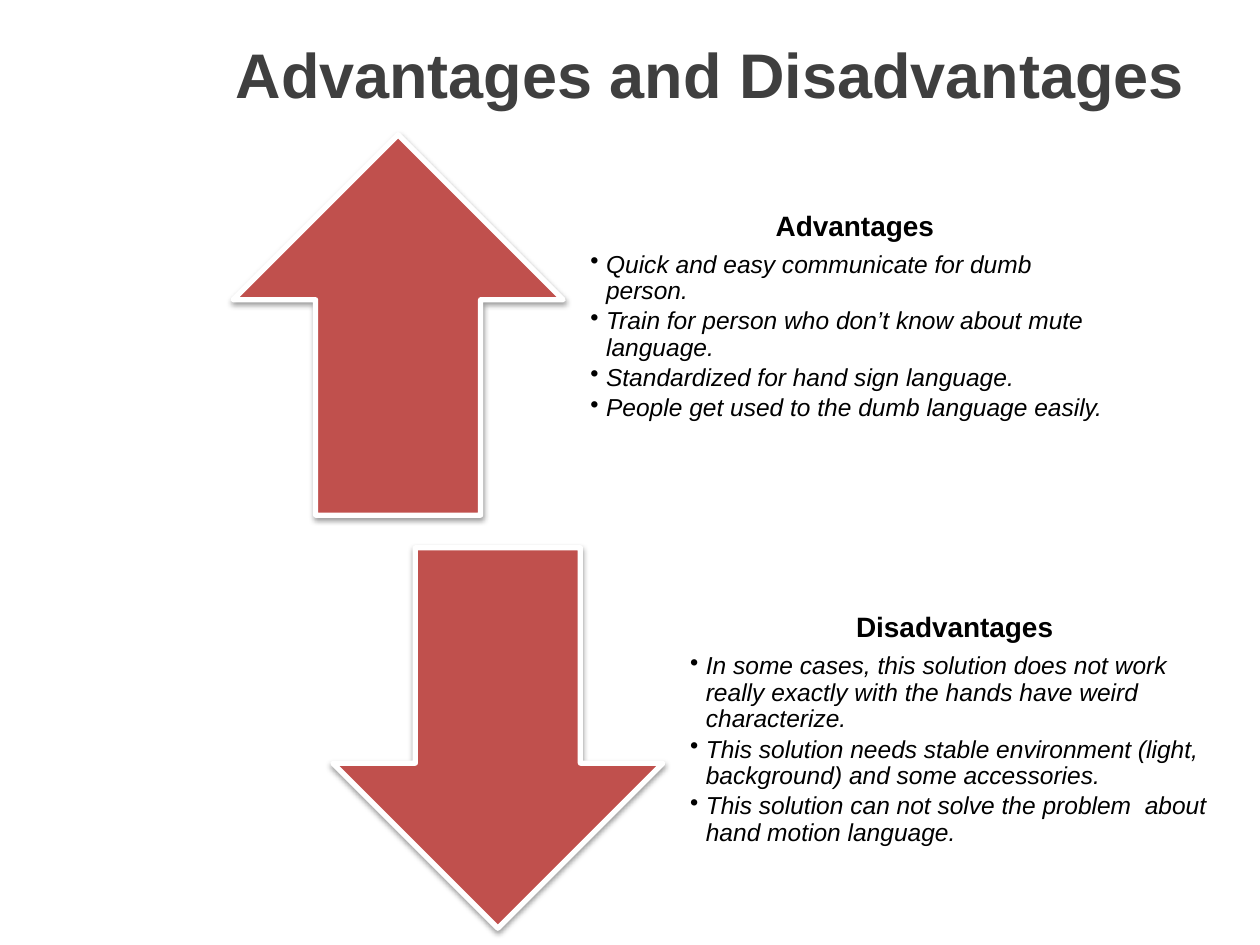
from lxml import etree
from pptx import Presentation
from pptx.dml.color import RGBColor
from pptx.enum import shapes, text
from pptx.oxml import parse_xml
from pptx.oxml.ns import nsdecls, qn
from pptx.util import Pt

RED = RGBColor(0xC0, 0x50, 0x4D)
WHITE = RGBColor(0xFF, 0xFF, 0xFF)
BLACK = RGBColor(0, 0, 0)
GRAY = RGBColor(0x3F, 0x3F, 0x3F)

SIDES = [
    (shapes.MSO_SHAPE.UP_ARROW, "Advantages", [
        "Quick and easy communicate for dumb person.",
        "Train for person who don’t know about mute language.",
        "Standardized for hand sign language.",
        "People get used to the dumb language easily.",
    ]),
    (shapes.MSO_SHAPE.DOWN_ARROW, "Disadvantages", [
        "In some cases, this solution does not work really exactly with "
        "the hands have weird characterize.",
        "This solution needs stable environment (light, background) and "
        "some accessories.",
        "This solution can not solve the problem  about hand motion language.",
    ]),
]
LEFT, TOP = 133.2, 77
ARROW_W, HEIGHT = 188.6, 217.4
TEXT_DX, TEXT_W = 195.1, 320.4
STEP_X, STEP_Y = 57, 236


def style_font(p, size, color, bold=False, italic=False):
    for r in p.runs:
        r.font.name = "Arial"
        r.font.size = Pt(size)
        r.font.bold = bold
        r.font.italic = italic
        r.font.color.rgb = color


def add_shadow(sp):
    sp.shadow.inherit = False
    effects = sp._element.spPr.find(qn("a:effectLst"))
    effects.append(parse_xml(
        f'<a:outerShdw {nsdecls("a")} blurRad="{Pt(3.1)}" dist="{Pt(1.6)}" '
        'dir="5400000" rotWithShape="0"><a:srgbClr val="000000">'
        '<a:alpha val="38000"/></a:srgbClr></a:outerShdw>'))


prs = Presentation()
prs.slide_width, prs.slide_height = Pt(720), Pt(540)
s = prs.slides.add_slide(prs.slide_layouts[5])

# Title
title = s.shapes.title
title.left, title.top, title.width, title.height = Pt(127.4), Pt(0), Pt(592.6), Pt(84.2)
tf = title.text_frame
tf.text = "Advantages and Disadvantages"
tf.vertical_anchor = text.MSO_ANCHOR.MIDDLE
tf.paragraphs[0].alignment = text.PP_ALIGN.LEFT
style_font(tf.paragraphs[0], 36, GRAY, bold=True)

for i, (arrow_type, heading, points) in enumerate(SIDES):
    x, y = LEFT + i * STEP_X, TOP + i * STEP_Y

    # Arrow
    arrow = s.shapes.add_shape(arrow_type, Pt(x), Pt(y), Pt(ARROW_W), Pt(HEIGHT))
    arrow.fill.solid()
    arrow.fill.fore_color.rgb = RED
    arrow.line.color.rgb = WHITE
    arrow.line.width = Pt(3)
    add_shadow(arrow)

    # Heading
    box = s.shapes.add_textbox(Pt(x + TEXT_DX), Pt(y), Pt(TEXT_W), Pt(HEIGHT))
    tf = box.text_frame
    tf.word_wrap = True
    tf.vertical_anchor = text.MSO_ANCHOR.MIDDLE
    tf.margin_left = tf.margin_right = tf.margin_bottom = Pt(9)
    tf.margin_top = 0
    p = tf.paragraphs[0]
    p.text = heading
    p.alignment = text.PP_ALIGN.CENTER
    p.line_spacing = 0.9
    p.space_after = Pt(5.6)
    style_font(p, 16, BLACK, bold=True)

    # Bullets
    for point in points:
        p = tf.add_paragraph()
        p.text = point
        p.level = 1
        p.line_spacing = 0.9
        p.space_after = Pt(2.1)
        style_font(p, 14, BLACK, italic=True)
        pPr = p._p.get_or_add_pPr()
        pPr.set("marL", str(Pt(9)))
        pPr.set("indent", str(-Pt(9)))
        etree.SubElement(pPr, qn("a:buChar")).set("char", "•")

prs.save("out.pptx")
